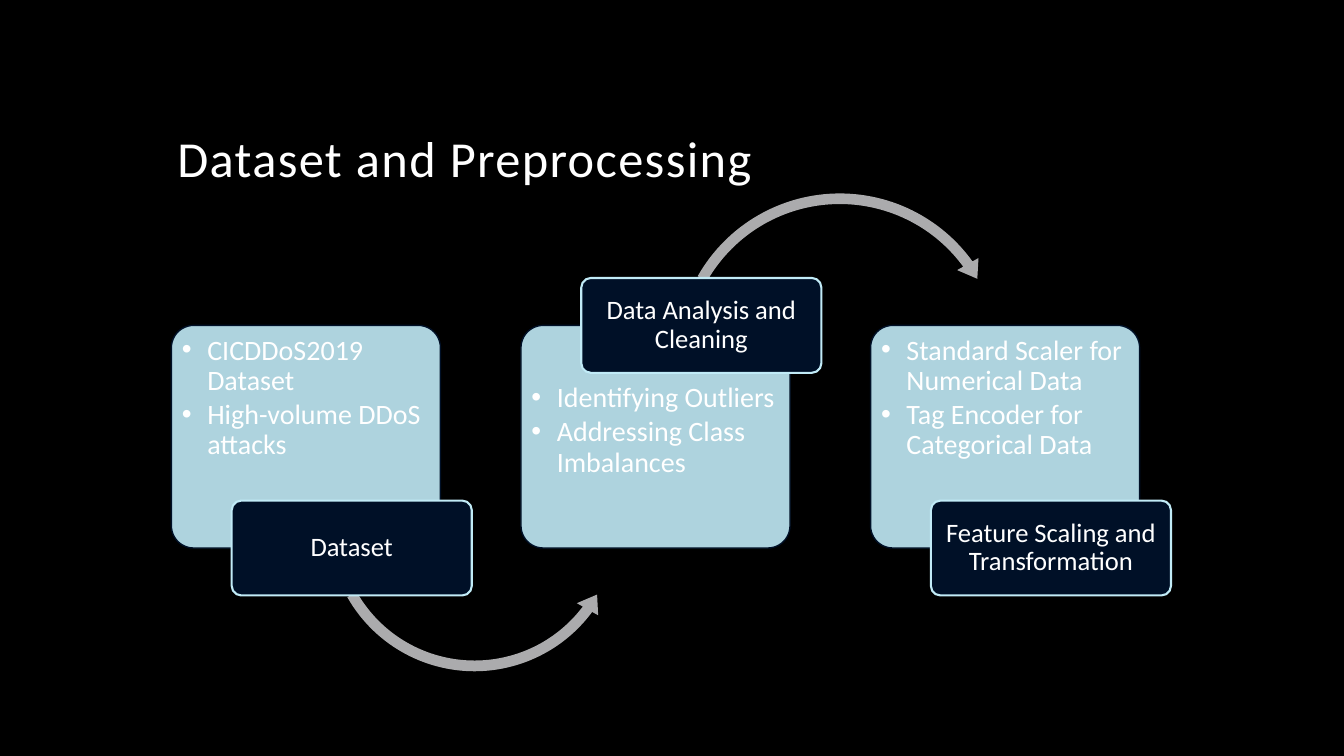
from lxml.etree import SubElement
from pptx import Presentation
from pptx.dml.color import RGBColor
from pptx.enum.shapes import MSO_SHAPE
from pptx.enum.text import MSO_ANCHOR, PP_ALIGN
from pptx.oxml.ns import qn
from pptx.util import Cm, Pt

BLACK = RGBColor(0x00, 0x00, 0x00)
WHITE = RGBColor(0xFF, 0xFF, 0xFF)
NAVY = RGBColor(0x00, 0x10, 0x27)
ICE = RGBColor(0xC1, 0xEB, 0xF7)
GRAY = RGBColor(0xAB, 0xAB, 0xAD)

# Layout in centimetres
CARD_LEFT, CARD_TOP, CARD_STEP = 4.32, 8.2, 8.81
CARD_WIDTH, CARD_HEIGHT = 6.78, 5.61
LABEL_SHIFT, LABEL_WIDTH, LABEL_HEIGHT = 1.52, 6.05, 2.39

# Label, bullets, whether the label sits on the card's top edge
STEPS = [
    ("Dataset", ["CICDDoS2019 Dataset", "High-volume DDoS attacks"], False),
    ("Data Analysis and Cleaning",
     ["Identifying Outliers", "Addressing Class Imbalances"], True),
    ("Feature Scaling and Transformation",
     ["Standard Scaler for Numerical Data",
      "Tag Encoder for Categorical Data"], False),
]
# Shape, left, top, size, adjustments; one arrow leaves each step but the last
ARROWS = [
    (MSO_SHAPE.LEFT_CIRCULAR_ARROW, 8.1, 9.37, 7.72,
     (0.035, 4.277, 22.032, 90.245, 0.04)),
    (MSO_SHAPE.CIRCULAR_ARROW, 16.87, 4.7, 8.59,
     (0.031, 3.813, 194.431, 125.755, 0.036)),
]


def style_paragraph(paragraph, text, size, align=PP_ALIGN.LEFT):
    paragraph.text = text
    paragraph.alignment = align
    paragraph.line_spacing = 0.9
    paragraph.font.name = "Calibri"
    paragraph.font.size = Pt(size)
    paragraph.font.color.rgb = WHITE


def add_bullet(paragraph):
    props = paragraph._p.get_or_add_pPr()
    props.set("marL", str(Cm(0.64)))
    props.set("indent", str(-Cm(0.64)))
    SubElement(props, qn("a:buFont"), typeface="Arial")
    SubElement(props, qn("a:buChar"), char="•")


def set_margins(frame, side, top, bottom):
    frame.margin_left = frame.margin_right = Cm(side)
    frame.margin_top, frame.margin_bottom = Cm(top), Cm(bottom)
    frame.word_wrap = True


def add_solid(slide, kind, left, top, width, height, color, adjustments):
    solid = slide.shapes.add_shape(
        kind, Cm(left), Cm(top), Cm(width), Cm(height))
    solid.shadow.inherit = False
    solid.fill.solid()
    solid.fill.fore_color.rgb = color
    for index, value in enumerate(adjustments):
        solid.adjustments[index] = value
    return solid


def add_box(slide, left, top, width, height, color, edge, edge_width):
    box = add_solid(slide, MSO_SHAPE.ROUNDED_RECTANGLE,
                    left, top, width, height, color, [0.1])
    box.line.color.rgb = edge
    box.line.width = Pt(edge_width)
    return box


def add_title(slide, text):
    title = slide.shapes.add_textbox(Cm(4.22), Cm(1.07), Cm(25.4), Cm(3.81))
    frame = title.text_frame
    frame.word_wrap = True
    frame.vertical_anchor = MSO_ANCHOR.BOTTOM
    style_paragraph(frame.paragraphs[0], text, 36)
    # Letter spacing of one point
    frame.paragraphs[0].runs[0].font._element.set("spc", "100")


def add_card(slide, left, bullets, label_on_top):
    card = add_box(slide, left, CARD_TOP, CARD_WIDTH, CARD_HEIGHT,
                   ICE, NAVY, 1)
    # Fill at 90 % opacity
    fill_color = card._element.spPr.find(qn("a:solidFill")).find(qn("a:srgbClr"))
    SubElement(fill_color, qn("a:alpha"), val="90000")
    frame = card.text_frame
    set_margins(frame, 0.1, LABEL_HEIGHT / 2 + 0.1 if label_on_top else 0.1, 0.1)
    frame.vertical_anchor = MSO_ANCHOR.TOP
    for index, text in enumerate(bullets):
        paragraph = frame.add_paragraph() if index else frame.paragraphs[0]
        style_paragraph(paragraph, text, 20)
        paragraph.space_after = Pt(3)
        add_bullet(paragraph)


def add_label(slide, card_left, text, on_top):
    edge = CARD_TOP if on_top else CARD_TOP + CARD_HEIGHT
    label = add_box(slide, card_left + LABEL_SHIFT, edge - LABEL_HEIGHT / 2,
                    LABEL_WIDTH, LABEL_HEIGHT, NAVY, ICE, 1.5)
    set_margins(label.text_frame, 0.1, 0.07, 0.07)
    label.text_frame.vertical_anchor = MSO_ANCHOR.MIDDLE
    style_paragraph(label.text_frame.paragraphs[0], text, 19, PP_ALIGN.CENTER)


def add_arrow(slide, kind, left, top, size, adjustments):
    arrow = add_solid(slide, kind, left, top, size, size, GRAY, adjustments)
    arrow.line.fill.background()


def main():
    deck = Presentation()
    deck.slide_width, deck.slide_height = Cm(33.87), Cm(19.05)
    slide = deck.slides.add_slide(deck.slide_layouts[6])
    slide.background.fill.solid()
    slide.background.fill.fore_color.rgb = BLACK

    add_title(slide, "Dataset and Preprocessing")

    # Process steps, each with its card, outgoing arrow and label
    for index, (label, bullets, on_top) in enumerate(STEPS):
        left = CARD_LEFT + index * CARD_STEP
        add_card(slide, left, bullets, on_top)
        if index < len(ARROWS):
            add_arrow(slide, *ARROWS[index])
        add_label(slide, left, label, on_top)

    deck.save("out.pptx")


if __name__ == "__main__":
    main()
